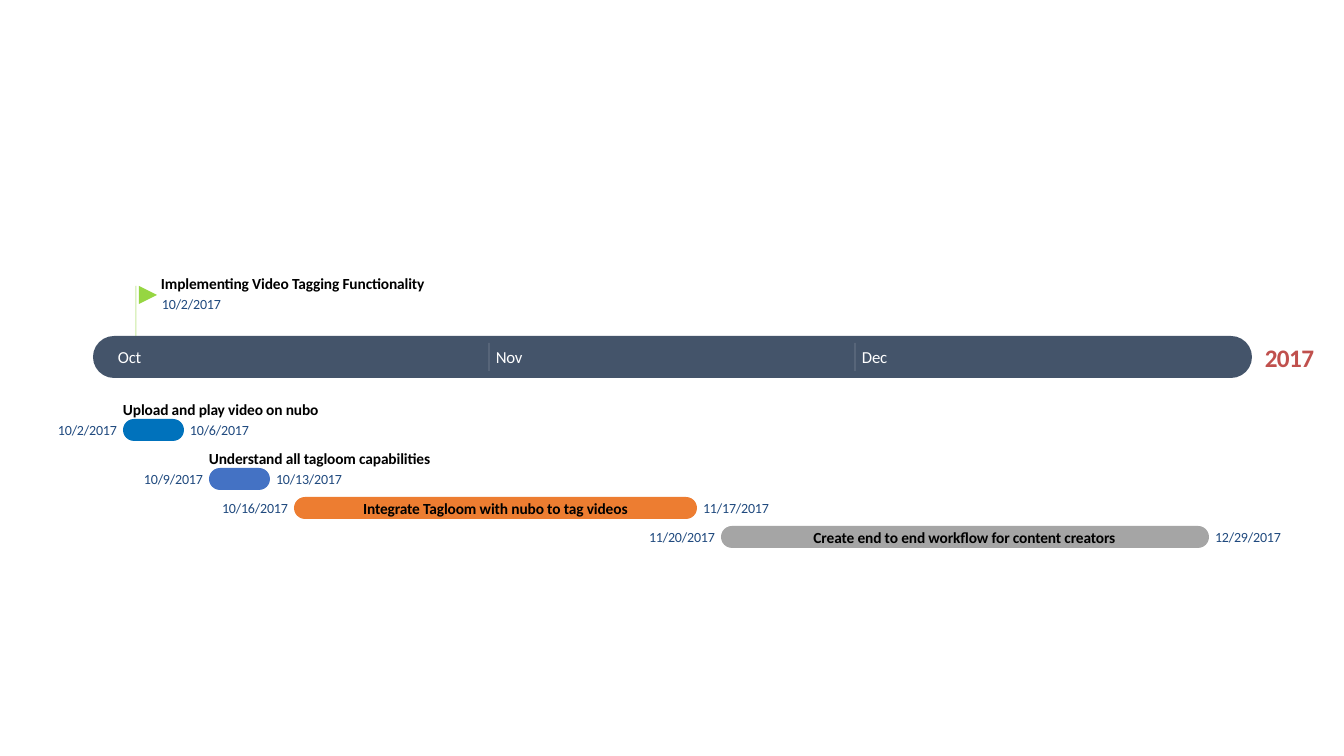
"""Build a one-slide project timeline for the last quarter of 2017."""
from lxml.etree import SubElement
from pptx import Presentation
from pptx.dml.color import RGBColor as Rgb
from pptx.enum.shapes import MSO_CONNECTOR as Link, MSO_SHAPE as Form
from pptx.enum.text import MSO_ANCHOR as Anchor, PP_ALIGN as Align
from pptx.oxml.ns import qn
from pptx.util import Pt

COLORS = {
    "band": "44546A", "white": "FFFFFF", "year": "C0504D", "date": "1F497E",
    "title": "000000", "flag": "96D642", "upload": "0072BC",
    "understand": "4472C4", "integrate": "ED7D31", "create": "A5A5A5",
}
FORMATS = {
    "year": {"size": Pt(18), "bold": True},
    "month": {"size": Pt(12), "bold": False},
    "title": {"size": Pt(11), "bold": True},
    "date": {"size": Pt(10), "bold": False},
}
SPACING = {"year": -40, "month": -20, "title": -10, "date": -10}
DAYS_BEFORE_MONTH = {10: -2, 11: 29, 12: 59}
ORIGIN, DAY_WIDTH = 123.4, 12.2
BAR_HEIGHT, DATE_GAP, SLACK = 22, 5, 6


class Timeline:
    """Hold the style and slide, and draw each kind of element."""

    def __init__(self, deck):
        self.scale = 914400 / 100.8
        self.font = "Calibri"
        deck.slide_width, deck.slide_height = self.emu(1344, 756)
        self.shapes = deck.slides.add_slide(deck.slide_layouts[6]).shapes

    def emu(self, *pixels):
        """Turn pixels into EMU."""
        return [round(value * self.scale) for value in pixels]

    def text(self, words, box, role, color, align=Align.LEFT):
        """Add one line of text, with slack so that it stays on one line."""
        left, top, width, height = box
        if align == Align.CENTER:
            left -= SLACK // 2
        frame = self.shapes.add_textbox(
            *self.emu(left, top, width + SLACK, height)).text_frame
        settings = {"margin_left": 0, "margin_right": 0, "margin_top": 0,
                    "margin_bottom": 0, "word_wrap": False,
                    "vertical_anchor": Anchor.MIDDLE}
        for name, value in settings.items():
            setattr(frame, name, value)
        paragraph = frame.paragraphs[0]
        paragraph.alignment = align
        run = paragraph.add_run()
        run.text = words
        for name, value in {"name": self.font, **FORMATS[role]}.items():
            setattr(run.font, name, value)
        run.font.color.rgb = Rgb.from_string(COLORS[color])
        run._r.get_or_add_rPr().set("spc", str(SPACING[role]))

    def shape(self, form, box, color, rotation=0):
        """Add a plain filled shape."""
        shape = self.shapes.add_shape(form, *self.emu(*box))
        shape.shadow.inherit = False
        shape.fill.solid()
        shape.fill.fore_color.rgb = Rgb.from_string(COLORS[color])
        shape.line.fill.background()
        shape.rotation = rotation
        return shape

    def pill(self, box, color):
        """Add a bar with fully round ends."""
        self.shape(Form.ROUNDED_RECTANGLE, box, color).adjustments[0] = 0.5

    def rule(self, x, top, bottom, color, width, opacity):
        """Add a translucent vertical line."""
        line = self.shapes.add_connector(
            Link.STRAIGHT, *self.emu(x, top, x, bottom))
        line.line.width = Pt(width)
        line.line.color.rgb = Rgb.from_string(COLORS[color])
        properties = line._element.spPr
        tint = next(properties.iter(qn("a:srgbClr")))
        SubElement(tint, qn("a:alpha"), val=str(opacity * 1000))
        SubElement(properties, qn("a:effectLst"))

    def date(self, words, edge, y, before=False):
        """Add a date that starts or, if before is set, ends at an edge."""
        width = 61 if len(words) < 10 else 68
        left = edge - width if before else edge
        self.text(words, (left, y, width, 17), "date", "date", Align.CENTER)

    def task(self, title, start, finish, y, color, title_width, above):
        """Add a bar with its title and its two dates."""
        left, right = day_x(start), day_x(finish, 1)
        self.pill((left, y, right - left, BAR_HEIGHT), color)
        self.date(start, left - DATE_GAP, y + 2, before=True)
        self.date(finish, right + DATE_GAP, y + 2)
        if above:
            box, align = (left, y - 19, title_width, 19), Align.LEFT
        else:
            middle = (left + right - title_width) // 2
            box, align = (middle, y + 2, title_width, 19), Align.CENTER
        self.text(title, box, "title", "title", align)


def day_x(date, extra=0):
    """Return the pixel column where a date, plus extra days, begins."""
    month, day = [int(part) for part in date.split("/")[:2]]
    return round(ORIGIN + DAY_WIDTH * (DAYS_BEFORE_MONTH[month] + day + extra))


deck = Presentation()
timeline = Timeline(deck)

kickoff = "10/2/2017"
pole = day_x(kickoff, 1)
timeline.rule(pole, 286, 336, "flag", 0.75, 50)
timeline.text("2017", (1265, 342, 49, 31), "year", "year", Align.CENTER)
timeline.pill((93, 336, 1159, 42), "band")

for month, first, width in [("Oct", "10/1/2017", 23), ("Nov", "11/1/2017", 27),
                            ("Dec", "12/1/2017", 25)]:
    month_x = day_x(first)
    if month != "Oct":
        timeline.rule(month_x, 343, 371, "white", 0.5, 30)
    timeline.text(month, (month_x + 7, 347, width, 20), "month", "white")

timeline.text("Implementing Video Tagging Functionality",
              (161, 274, 269, 19), "title", "title")
timeline.date(kickoff, 161, 295)
timeline.shape(Form.FLOWCHART_MERGE, (pole + 3, 286, 18, 18), "flag", 270)

for task in [
    ("Upload and play video on nubo", "10/2/2017", "10/6/2017",
     419, "upload", 205, True),
    ("Understand all tagloom capabilities", "10/9/2017", "10/13/2017",
     468, "understand", 228, True),
    ("Integrate Tagloom with nubo to tag videos", "10/16/2017", "11/17/2017",
     497, "integrate", 279, False),
    ("Create end to end workflow for content creators", "11/20/2017",
     "12/29/2017", 526, "create", 309, False),
]:
    timeline.task(*task)

deck.save("out.pptx")
